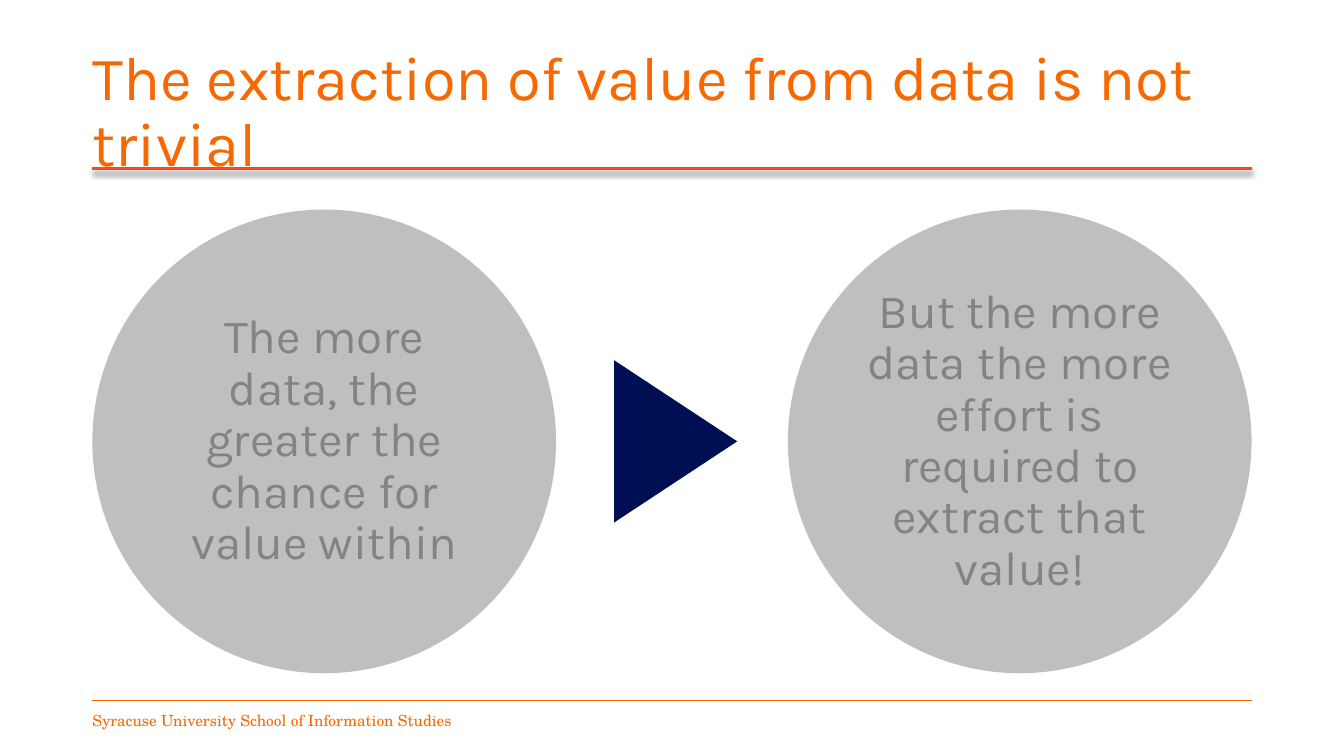
from lxml import etree
from pptx import Presentation
from pptx.dml.color import RGBColor
from pptx.enum import shapes, text
from pptx.oxml import ns
from pptx.util import Pt

COLORS = {
    "orange": "F76900",
    "rule": "FF431B",
    "disc": "BFBFBF",
    "disc_text": "828482",
    "navy": "000E54",
    "shadow": "000000",
}
LEFT, WIDTH = 66, 828


def rgb(name):
    return RGBColor.from_string(COLORS[name])


def write(shape, words, size, font, color, margin_x, margin_y, wrap=True):
    tf = shape.text_frame
    tf.auto_size = text.MSO_AUTO_SIZE.NONE
    tf.word_wrap = wrap
    tf.vertical_anchor = text.MSO_ANCHOR.MIDDLE
    tf.margin_left = tf.margin_right = Pt(margin_x)
    tf.margin_top = tf.margin_bottom = Pt(margin_y)
    p = tf.paragraphs[0]
    p.alignment = text.PP_ALIGN.LEFT
    r = p.add_run()
    r.text = words
    r.font.size = Pt(size)
    r.font.name = font
    r.font.color.rgb = rgb(color)
    return p


def add_rule(s, x, y, w, color, weight):
    line = s.shapes.add_connector(
        shapes.MSO_CONNECTOR.STRAIGHT, Pt(x), Pt(y), Pt(x + w), Pt(y))
    line.line.color.rgb = rgb(color)
    line.line.width = Pt(weight)
    effects = etree.SubElement(line.element.spPr, ns.qn("a:effectLst"))
    return line, effects


def add_title(s, x, y, w, h):
    title = s.shapes.title
    title.left, title.top, title.width, title.height = Pt(x), Pt(y), Pt(w), Pt(h)
    p = write(title, "The extraction of value from data is not trivial",
              44, "Karla", "orange", 0, 3.6)
    p.line_spacing = 0.9
    line, effects = add_rule(s, x, y + 91.4, w, "rule", 2.25)
    shadow = etree.SubElement(
        effects, ns.qn("a:outerShdw"), blurRad=str(Pt(4)), dist=str(Pt(3)),
        dir="5400000", algn="t", rotWithShape="0")
    color = etree.SubElement(shadow, ns.qn("a:srgbClr"), val=COLORS["shadow"])
    etree.SubElement(color, ns.qn("a:alpha"), val="40000")
    title.element.addprevious(line.element)


def add_solid(s, kind, x, y, w, h, color):
    sp = s.shapes.add_shape(kind, Pt(x), Pt(y), Pt(w), Pt(h))
    sp.shadow.inherit = False
    sp.fill.solid()
    sp.fill.fore_color.rgb = rgb(color)
    sp.line.fill.background()
    return sp


def add_comparison(s, x, y, w, h):
    statements = [
        "The more data, the greater the chance for value within",
        "But the more data the more effort is required to extract that value!",
    ]
    for i, words in enumerate(statements):
        disc = add_solid(s, shapes.MSO_SHAPE.OVAL, x + i * (w - h), y, h, h, "disc")
        p = write(disc, words, 34, "Karla", "disc_text", 3.6, 3.6)
        p.alignment = text.PP_ALIGN.CENTER
        p.line_spacing = 0.9
    base, depth = 116, 88
    arrow = add_solid(
        s, shapes.MSO_SHAPE.ISOSCELES_TRIANGLE, x + (w - base) / 2 + 2.6,
        y + (h - depth) / 2, base, depth, "navy")
    arrow.rotation = 90


def add_footer(s, x, y, w, h):
    add_rule(s, x, y, w, "orange", 0.5)
    box = s.shapes.add_textbox(Pt(x), Pt(y), Pt(235.4), Pt(h))
    write(box, "Syracuse University School of Information Studies",
          11, "TeX Gyre Schola", "orange", 0, 3.6, wrap=False)


def main():
    prs = Presentation()
    prs.slide_width, prs.slide_height = Pt(960), Pt(540)
    s = prs.slides.add_slide(prs.slide_layouts[5])
    add_footer(s, LEFT, 500.4, WIDTH, 28.8)
    add_title(s, LEFT, 28.8, WIDTH, 104.4)
    add_comparison(s, LEFT, 149.7, WIDTH, 331.2)
    prs.save("out.pptx")


if __name__ == "__main__":
    main()
